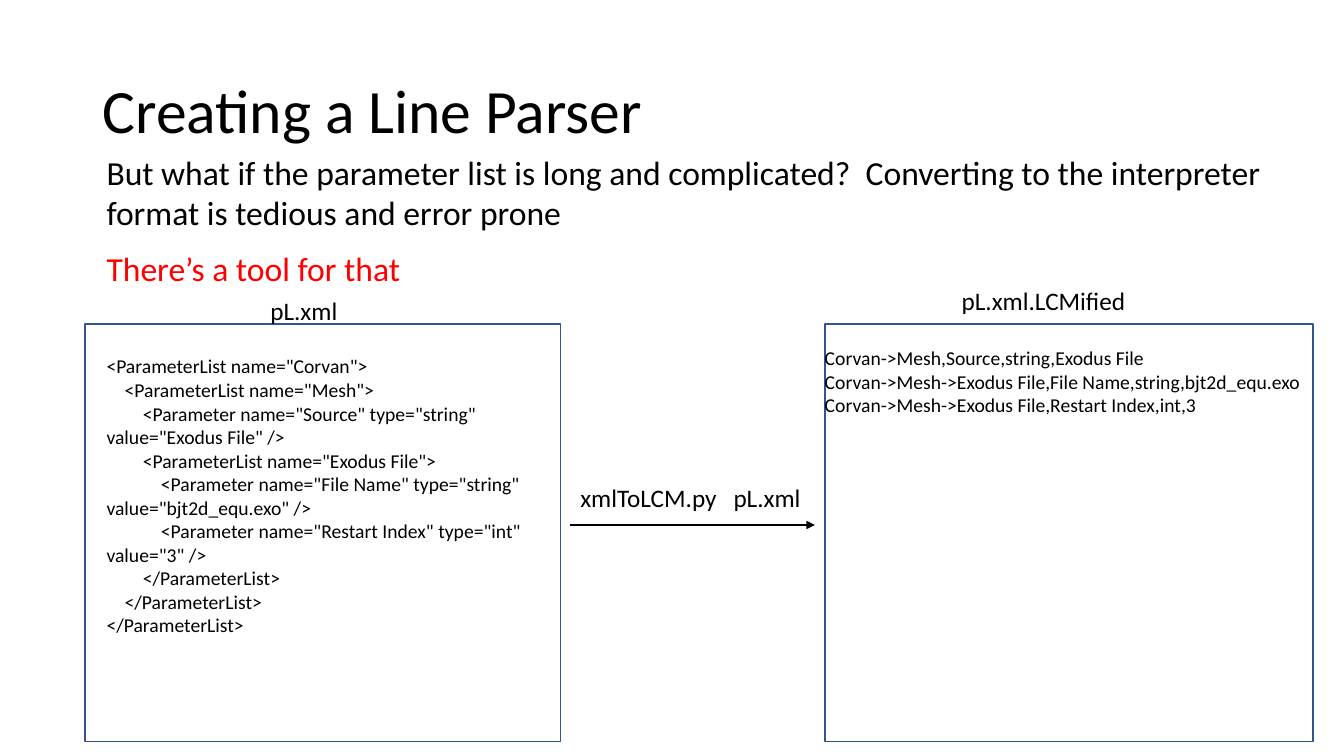
from pptx import Presentation
from pptx.dml.color import RGBColor
from pptx.enum.shapes import MSO_CONNECTOR, MSO_SHAPE
from pptx.enum.text import MSO_ANCHOR, MSO_AUTO_SIZE, PP_ALIGN
from pptx.oxml.ns import qn
from pptx.util import Inches, Pt
from lxml import etree

RECTANGLE = MSO_SHAPE.RECTANGLE
STRAIGHT = MSO_CONNECTOR.STRAIGHT
MIDDLE, TOP = MSO_ANCHOR.MIDDLE, MSO_ANCHOR.TOP
NO_FIT = MSO_AUTO_SIZE.NONE
LEFT = PP_ALIGN.LEFT

THEME = {
    "font": "Calibri",
    "ink": RGBColor(0x00, 0x00, 0x00),
    "accent": RGBColor(0xFF, 0x00, 0x00),
    "paper": RGBColor(0xFF, 0xFF, 0xFF),
    "frame": RGBColor(0x32, 0x54, 0x91),
    "title": Pt(44),
    "body": Pt(24),
    "label": Pt(18),
    "code": Pt(14),
    "frame_line": Pt(1),
    "arrow_line": Pt(1.5),
}

deck = Presentation()
deck.slide_width = Inches(13.33)
deck.slide_height = Inches(7.5)
page = deck.slides.add_slide(deck.slide_layouts[5])

# The page is a grid of 160 columns by 90 rows.
COLUMN = deck.slide_width / 160
ROW = deck.slide_height / 90


def on_grid(column, row, columns, rows):
    """Turn a place in grid cells into left, top, width and height."""
    return [round(n) for n in (column * COLUMN, row * ROW, columns * COLUMN, rows * ROW)]


def write(box, lines, size, color="ink", wrap=True, anchor=TOP, spacing=1.0):
    """Fill a box with (indent level, text) lines; only first lines are indented."""
    frame = box.text_frame
    frame_format = {"word_wrap": wrap, "auto_size": NO_FIT, "vertical_anchor": anchor}
    for name, value in frame_format.items():
        setattr(frame, name, value)
    for number, (level, text) in enumerate(lines):
        para = frame.paragraphs[0] if number == 0 else frame.add_paragraph()
        para.alignment = LEFT
        para.line_spacing = spacing
        if level:
            para._p.get_or_add_pPr().set("indent", str(level * CODE_INDENT))
        span = para.add_run()
        span.text = text
        font_format = {"name": THEME["font"], "size": THEME[size]}
        for name, value in font_format.items():
            setattr(span.font, name, value)
        span.font.color.rgb = THEME[color]


CODE_INDENT = Inches(0.18)
COMMAND_TAB = Inches(1.52)
PANEL_TOP, PANEL_ROWS = 38.6, 49.7
TEXT_LEFT, TEXT_COLUMNS = 11.5, 141.7

# Title
title = page.shapes.title
title.left, title.top, title.width, title.height = on_grid(11, 4.8, 138, 17.4)
write(title, [(0, "Creating a Line Parser")], "title", anchor=MIDDLE, spacing=0.9)

# Framed panels for the two files
for column, columns in ((10.1, 56.6), (98.2, 58.1)):
    panel = page.shapes.add_shape(RECTANGLE, *on_grid(column, PANEL_TOP, columns, PANEL_ROWS))
    panel.shadow.inherit = False
    panel.fill.solid()
    panel.fill.fore_color.rgb = THEME["paper"]
    panel.line.color.rgb = THEME["frame"]
    panel.line.width = THEME["frame_line"]

# Text blocks
xml_lines = [
    (0, '<ParameterList name="Corvan">'),
    (1, '<ParameterList name="Mesh">'),
    (2, '<Parameter name="Source" type="string" value="Exodus File" />'),
    (2, '<ParameterList name="Exodus File">'),
    (3, '<Parameter name="File Name" type="string" value="bjt2d_equ.exo" />'),
    (3, '<Parameter name="Restart Index" type="int" value="3" />'),
    (2, "</ParameterList>"),
    (1, "</ParameterList>"),
    (0, "</ParameterList>"),
]
converted_lines = [
    (0, "Corvan->Mesh,Source,string,Exodus File"),
    (0, "Corvan->Mesh->Exodus File,File Name,string,bjt2d_equ.exo"),
    (0, "Corvan->Mesh->Exodus File,Restart Index,int,3"),
]
question = ("But what if the parameter list is long and complicated?  "
            "Converting to the interpreter format is tedious and error prone")
blocks = [
    ((TEXT_LEFT, 17.5, TEXT_COLUMNS, 10.9), [(0, question)], "body", "ink", True),
    ((TEXT_LEFT, 28.9, TEXT_COLUMNS, 6), [(0, "There’s a tool for that")], "body", "accent", True),
    ((31, 34.6, 10.4, 4.8), [(0, "pL.xml")], "label", "ink", False),
    ((TEXT_LEFT, 41.6, 53.4, 37.9), xml_lines, "code", "ink", True),
    ((113.3, 33.4, 22.1, 4.8), [(0, "pL.xml.LCMified")], "label", "ink", False),
    ((97, 40.6, 63, 9.7), converted_lines, "code", "ink", True),
]
for place, lines, size, color, wrap in blocks:
    write(page.shapes.add_textbox(*on_grid(*place)), lines, size, color, wrap)

# Command above the arrow, its argument set off by a tab stop
command = page.shapes.add_textbox(*on_grid(67.9, 56.8, 28.9, 4.8))
write(command, [(0, "xmlToLCM.py\tpL.xml")], "label", wrap=False)
properties = command.text_frame.paragraphs[0]._p.get_or_add_pPr()
tab_list = etree.SubElement(properties, qn("a:tabLst"))
etree.SubElement(tab_list, qn("a:tab"), pos=str(COMMAND_TAB), algn="l")

# Arrow from the source file to the converted file
left, top, width, _ = on_grid(67.9, 62.5, 29.1, 0)
arrow = page.shapes.add_connector(STRAIGHT, left, top, left + width, top)
arrow.line.color.rgb = THEME["ink"]
arrow.line.width = THEME["arrow_line"]
etree.SubElement(arrow.line._get_or_add_ln(), qn("a:tailEnd"), type="triangle")
etree.SubElement(arrow._element.spPr, qn("a:effectLst"))

deck.save("out.pptx")
